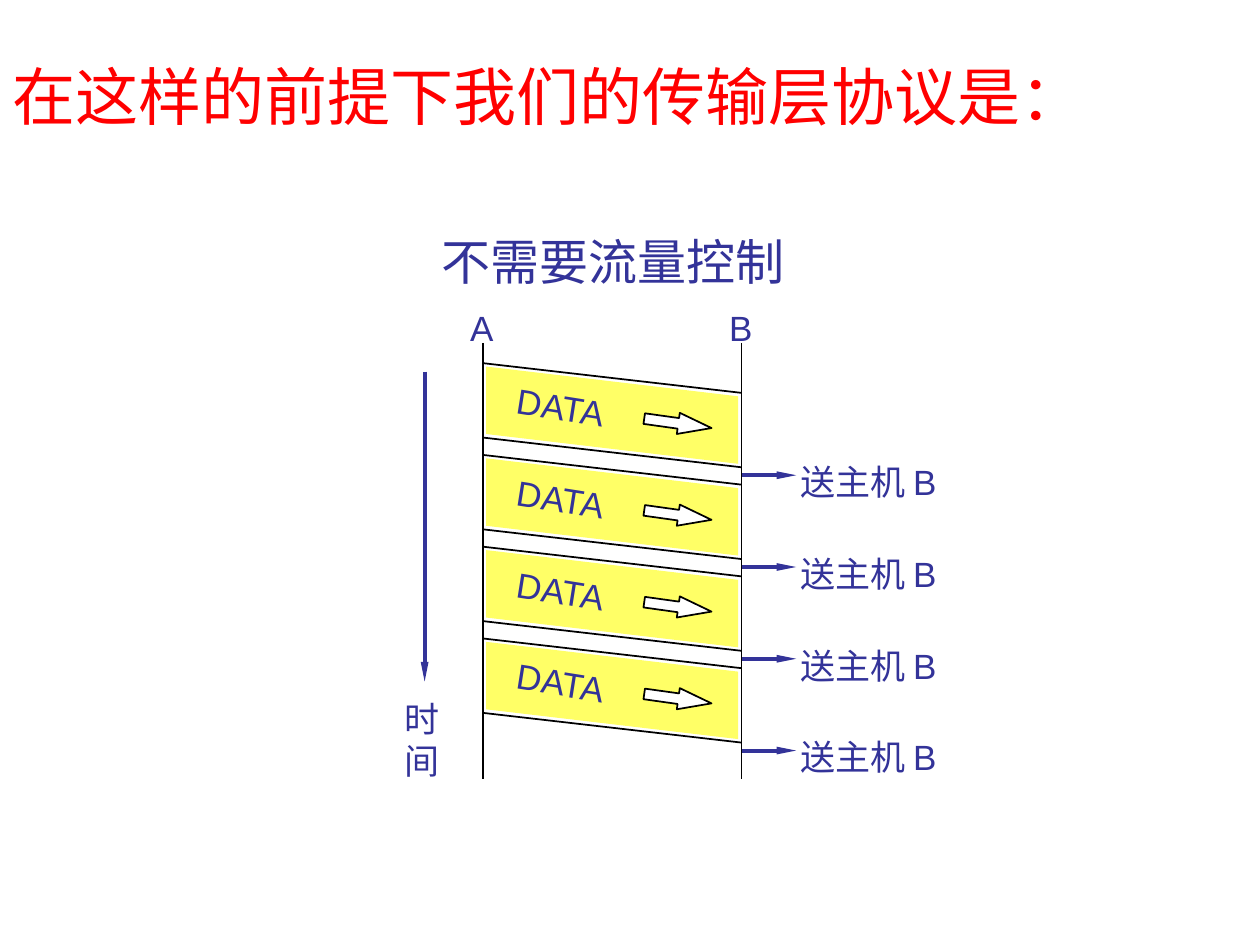
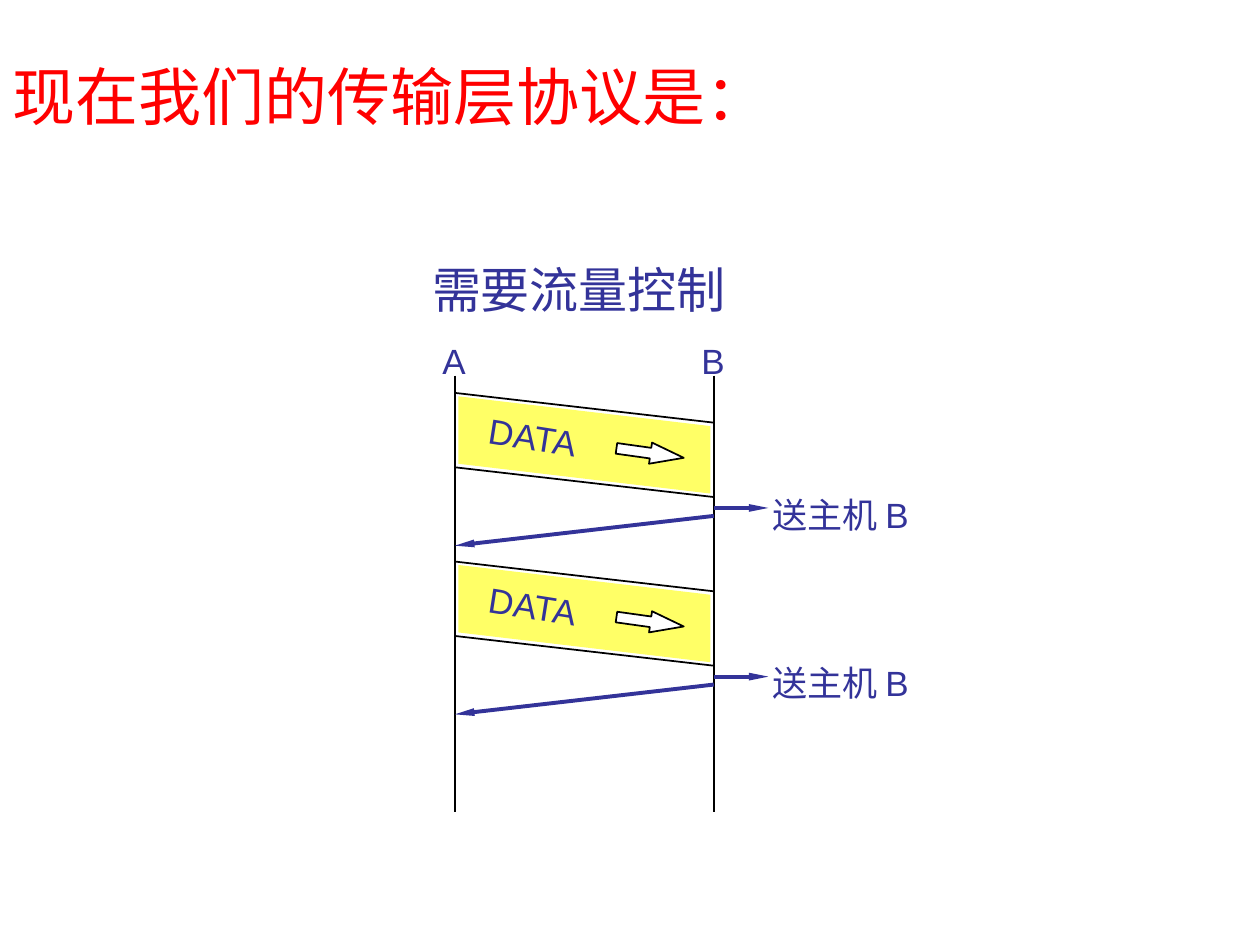
from dataclasses import dataclass

from lxml import etree
from pptx import Presentation
from pptx.dml.color import RGBColor
from pptx.enum.shapes import MSO_CONNECTOR, MSO_SHAPE
from pptx.enum.text import MSO_ANCHOR, MSO_AUTO_SIZE, PP_ALIGN
from pptx.oxml.ns import qn
from pptx.util import Cm, Pt

STRAIGHT = MSO_CONNECTOR.STRAIGHT
RIGHT_ARROW = MSO_SHAPE.RIGHT_ARROW
TOP = MSO_ANCHOR.TOP
NO_AUTOFIT = MSO_AUTO_SIZE.NONE
LEFT = PP_ALIGN.LEFT


@dataclass(frozen=True)
class Theme:
    red: RGBColor = RGBColor(0xFF, 0x00, 0x00)
    ink: RGBColor = RGBColor(0x33, 0x33, 0x99)
    black: RGBColor = RGBColor(0x00, 0x00, 0x00)
    white: RGBColor = RGBColor(0xFF, 0xFF, 0xFF)
    yellow: RGBColor = RGBColor(0xFF, 0xFF, 0x66)
    font: str = "Arial"
    heading_font: str = "Cabin"
    title_size: int = 36
    heading_size: int = 28
    label_size: int = 20
    thin: float = 1
    thick: float = 2.25


THEME = Theme()

PROTOCOLS = [
    {
        "title": "在这样的前提下我们的传输层协议是：",
        "heading": "不需要流量控制",
        "heading_box": (8.66, 4.55, 7.42, 1.45),
        "host_a_x": 9.73,
        "lifeline_top": 6.91,
        "first_frame": 7.32,
        "frame_pitch": 1.85,
        "frames": 4,
        "deliver_after": 2.26,
        "acknowledged": False,
        "time_label": "时\n间",
    },
    {
        "title": "现在我们的传输层协议是：",
        "heading": "需要流量控制",
        "heading_box": (8.46, 5.11, 6.43, 1.45),
        "host_a_x": 9.17,
        "lifeline_top": 7.57,
        "first_frame": 7.92,
        "frame_pitch": 3.4,
        "frames": 2,
        "deliver_after": 2.32,
        "acknowledged": True,
        "time_label": None,
    },
]
HOSTS = ("A", "B")
FRAME_LABEL = "DATA"
DELIVERY_LABEL = "送主机 B"

HOST_GAP = 5.22
LIFELINE_LENGTH = 8.8
LABEL_HEIGHT = 1.09
FRAME_HEIGHT = 1.5
TRANSIT_DROP = 0.6
BAND_INSET = 0.07
ACK_DELAY = 0.16


def style_paragraphs(frame, size, color, font):
    for paragraph in frame.paragraphs:
        paragraph.font.size = Pt(size)
        paragraph.font.color.rgb = color
        paragraph.font.name = font


def add_label(slide, text, box, size=THEME.label_size, font=THEME.font, rotation=0):
    label = slide.shapes.add_textbox(*map(Cm, box))
    label.rotation = rotation
    label.text_frame.word_wrap = False
    label.text_frame.text = text
    style_paragraphs(label.text_frame, size, THEME.ink, font)


def add_line(slide, start, end, color=THEME.black, width=THEME.thin):
    line = slide.shapes.add_connector(STRAIGHT, *map(Cm, start + end))
    line.line.color.rgb = color
    line.line.width = Pt(width)
    etree.SubElement(line._element.spPr, qn("a:effectLst"))
    return line


def add_arrow(slide, start, end):
    arrow = add_line(slide, start, end, THEME.ink, THEME.thick)
    etree.SubElement(arrow.line._get_or_add_ln(), qn("a:tailEnd"),
                     type="triangle", w="sm", len="lg")


def add_title(slide, text):
    title = slide.shapes.title
    title.left, title.top, title.width, title.height = map(Cm, (0, 1.04, 23.75, 1.78))
    frame = title.text_frame
    frame.text = text
    frame.vertical_anchor = TOP
    frame.auto_size = NO_AUTOFIT
    frame.paragraphs[0].alignment = LEFT
    style_paragraphs(frame, THEME.title_size, THEME.red, THEME.font)


def add_data_frame(slide, a_x, b_x, top):
    left, right = a_x + BAND_INSET, b_x - BAND_INSET
    band_top, band_bottom = top + BAND_INSET, top + FRAME_HEIGHT - BAND_INSET
    outline = [(left, band_top), (right, band_top + TRANSIT_DROP),
               (right, band_bottom + TRANSIT_DROP), (left, band_bottom)]
    corners = [(Cm(x), Cm(y)) for x, y in outline]
    builder = slide.shapes.build_freeform(*corners[0], scale=1.0)
    builder.add_line_segments(corners[1:], close=True)
    band = builder.convert_to_shape()
    band.shadow.inherit = False
    band.fill.solid()
    band.fill.fore_color.rgb = THEME.yellow
    band.line.fill.background()

    for edge in (top, top + FRAME_HEIGHT):
        add_line(slide, (a_x, edge), (b_x, edge + TRANSIT_DROP))

    direction = slide.shapes.add_shape(
        RIGHT_ARROW, *map(Cm, (a_x + 3.25, top + 1, 1.37, 0.43)))
    direction.rotation = 8
    direction.adjustments[1] = 1.57
    direction.shadow.inherit = False
    direction.fill.solid()
    direction.fill.fore_color.rgb = THEME.white
    direction.line.color.rgb = THEME.black
    direction.line.width = Pt(THEME.thin)
    add_label(slide, FRAME_LABEL, (a_x + 0.43, top + 0.34, 2.39, LABEL_HEIGHT), rotation=9)


def add_protocol(slide, protocol):
    add_title(slide, protocol["title"])
    add_label(slide, protocol["heading"], protocol["heading_box"],
              THEME.heading_size, THEME.heading_font)

    a_x = protocol["host_a_x"]
    b_x = a_x + HOST_GAP
    lifeline_top = protocol["lifeline_top"]
    for host, x in zip(HOSTS, (a_x, b_x)):
        add_line(slide, (x, lifeline_top), (x, lifeline_top + LIFELINE_LENGTH))
        add_label(slide, host, (x - 0.5, lifeline_top - 0.86, 0.97, LABEL_HEIGHT))

    for index in range(protocol["frames"]):
        top = protocol["first_frame"] + index * protocol["frame_pitch"]
        add_data_frame(slide, a_x, b_x, top)
        delivery = top + protocol["deliver_after"]
        add_arrow(slide, (b_x, delivery), (b_x + 1.1, delivery))
        add_label(slide, DELIVERY_LABEL, (b_x + 0.93, delivery - 0.42, 3.43, LABEL_HEIGHT))
        if protocol["acknowledged"]:
            sent = delivery + ACK_DELAY
            add_arrow(slide, (b_x, sent), (a_x, sent + TRANSIT_DROP))

    if protocol["time_label"]:
        time_x = a_x - 1.17
        add_arrow(slide, (time_x, 7.49), (time_x, 13.74))
        add_label(slide, protocol["time_label"], (time_x - 0.66, 13.94, 1.22, 1.93))


def main():
    deck = Presentation()
    deck.slide_width, deck.slide_height = Cm(25.4), Cm(19.05)
    title_only = deck.slide_layouts[5]
    for protocol in PROTOCOLS:
        add_protocol(deck.slides.add_slide(title_only), protocol)
    deck.save("out.pptx")


if __name__ == "__main__":
    main()
